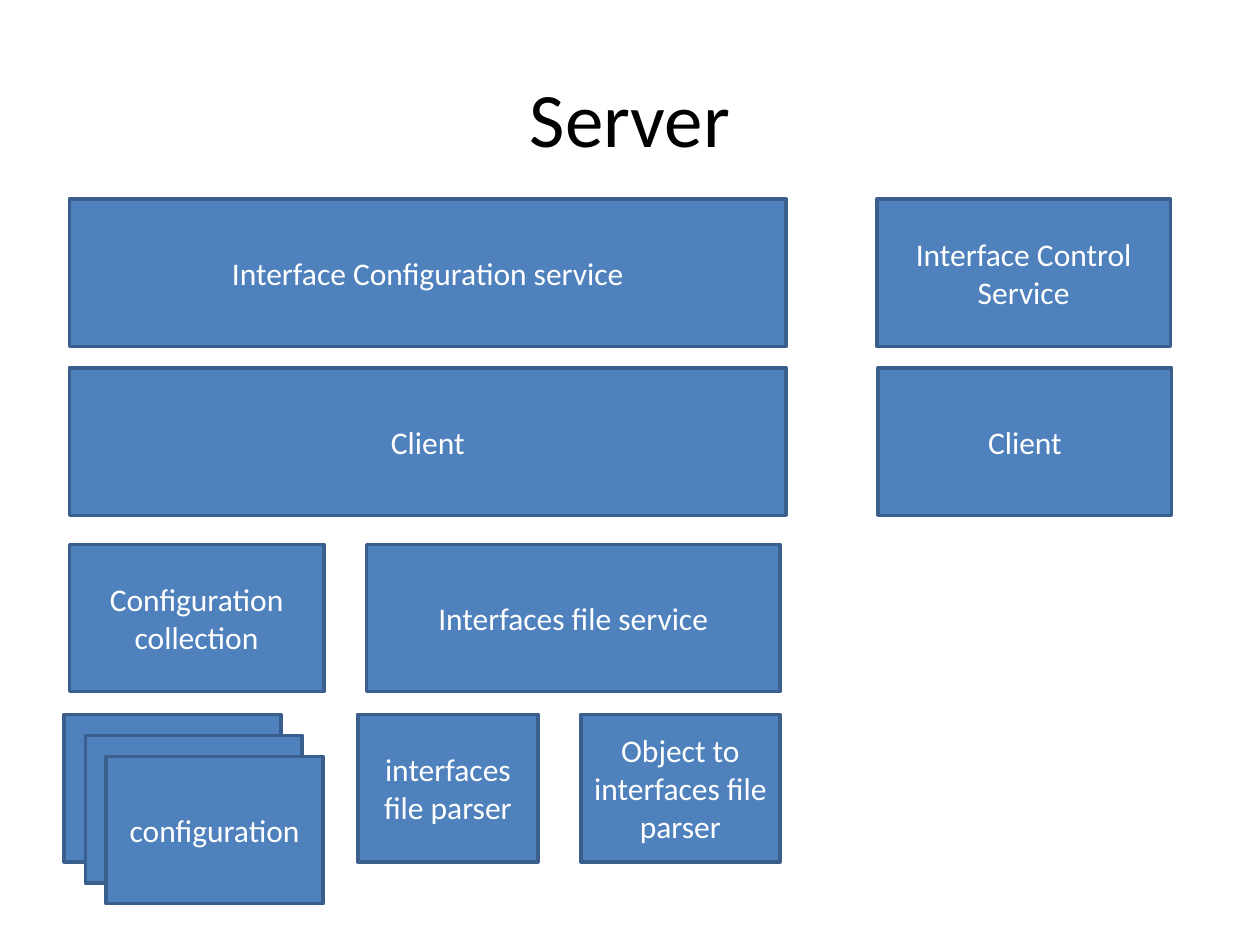
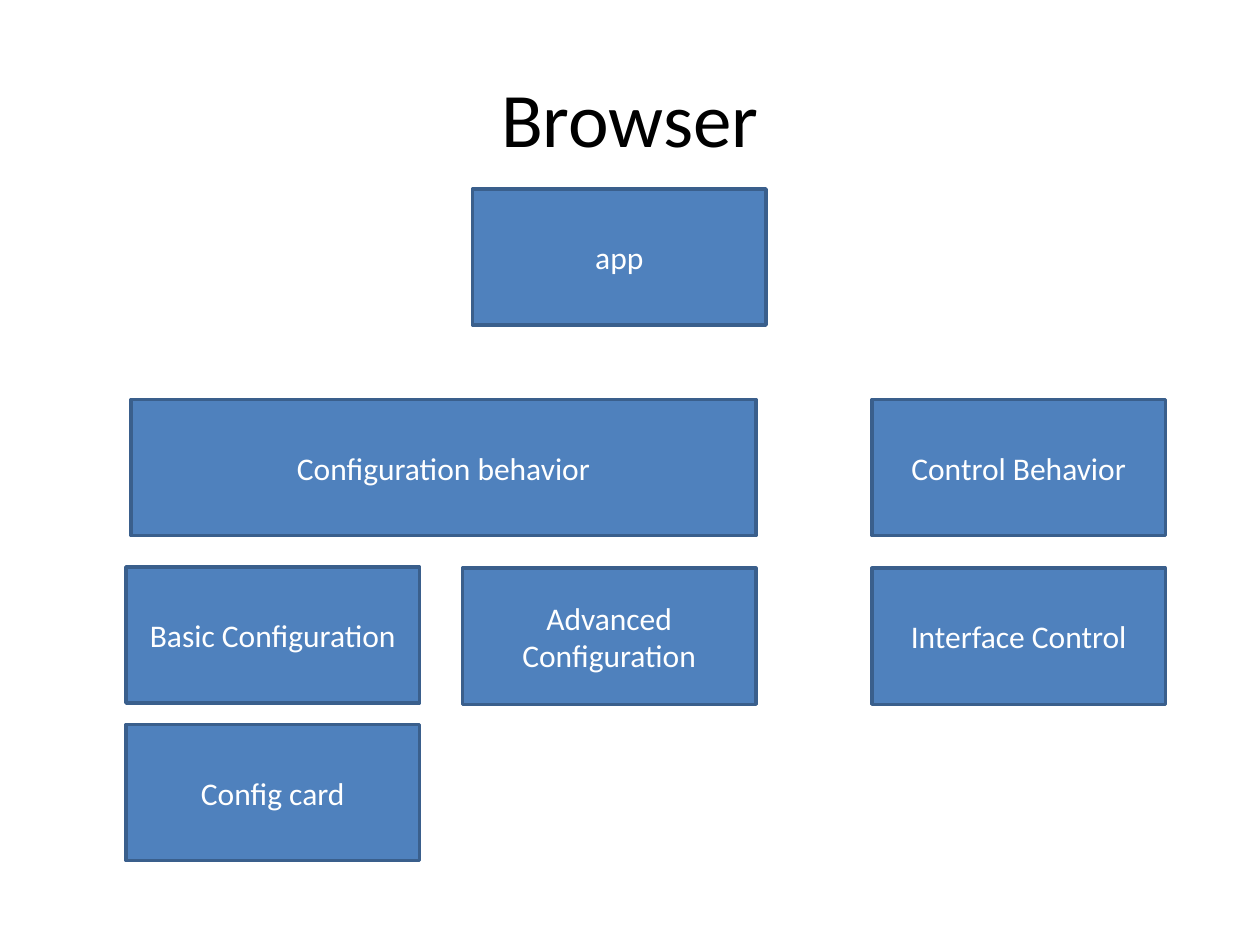
from pptx import Presentation
from pptx.dml.color import RGBColor
from pptx.enum.shapes import MSO_SHAPE
from pptx.enum.text import MSO_ANCHOR, PP_ALIGN
from pptx.util import Inches, Pt

RECTANGLE = MSO_SHAPE.RECTANGLE
MIDDLE = MSO_ANCHOR.MIDDLE
CENTER = PP_ALIGN.CENTER
TITLE_ONLY = 5


def color(hex_value):
    """Turn a hex string into a colour."""
    return RGBColor.from_string(hex_value)


class ArchitectureDeck:
    """Hold the shared style and the current slide."""

    font = "Calibri"
    fill = "4F81BD"
    border = "3A5F8C"
    title_color = "000000"
    block_color = "FFFFFF"

    def __init__(self):
        """Start an empty 10 by 7.5 inch deck."""
        self.presentation = Presentation()
        self.presentation.slide_width = Inches(10)
        self.presentation.slide_height = Inches(7.5)
        self.slide = None

    def add_label(self, frame, wording, size, text_color):
        """Put one centred run into a text frame."""
        frame.word_wrap = True
        frame.vertical_anchor = MIDDLE
        paragraph = frame.paragraphs[0]
        paragraph.alignment = CENTER
        run = paragraph.add_run()
        run.text = wording
        run.font.name = self.font
        run.font.size = Pt(size)
        run.font.color.rgb = color(text_color)

    def add_slide(self, heading):
        """Add a slide with its title."""
        layout = self.presentation.slide_layouts[TITLE_ONLY]
        self.slide = self.presentation.slides.add_slide(layout)
        title = self.slide.shapes.title
        title.left, title.top = Inches(0.5), Inches(0.3)
        title.width, title.height = Inches(9), Inches(1.25)
        self.add_label(title.text_frame, heading, 44, self.title_color)

    def add_block(self, label, left, top, width, height):
        """Add one component block, labelled if it has a label."""
        block = self.slide.shapes.add_shape(
            RECTANGLE, Inches(left), Inches(top), Inches(width), Inches(height))
        block.shadow.inherit = False
        block.fill.solid()
        block.fill.fore_color.rgb = color(self.fill)
        block.line.color.rgb = color(self.border)
        block.line.width = Pt(2)
        if label:
            self.add_label(block.text_frame, label, 18, self.block_color)

    def add_row(self, top, height, blocks):
        """Add blocks, each a label, left and width, on one row."""
        for label, left, width in blocks:
            self.add_block(label, left, top, width, height)

    def add_stack(self, labels, left, top, width, height, step):
        """Add overlapping blocks, each shifted down and right."""
        for index, label in enumerate(labels):
            shift = index * step
            self.add_block(label, left + shift, top + shift, width, height)


def build_server(deck):
    """Build the slide of server components."""
    height = 1.17
    main_left, main_width = 0.55, 5.69
    control_width = 2.33
    deck.add_slide("Server")
    deck.add_row(1.58, height, [
        ("Interface Configuration service", main_left, main_width),
        ("Interface Control Service", 6.96, control_width),
    ])
    deck.add_row(2.92, height, [
        ("Client", main_left, main_width),
        ("Client", 6.97, control_width),
    ])
    deck.add_row(4.32, height, [
        ("Configuration collection", main_left, 2.02),
        ("Interfaces file service", 2.91, 3.28),
    ])
    parts_top = 5.67
    deck.add_stack(["", "configuration", "configuration"],
                   0.51, parts_top, 1.72, height, 1 / 6)
    deck.add_row(parts_top, height, [
        ("interfaces file parser", 2.84, 1.43),
        ("Object to interfaces file parser", 4.61, 1.58),
    ])


def build_browser(deck):
    """Build the slide of browser components."""
    width, height = 2.33, 1.08
    basic_left, control_left = 1, 6.92
    deck.add_slide("Browser")
    deck.add_row(1.5, height, [("app", 3.75, width)])
    deck.add_row(3.17, height, [
        ("Configuration behavior", 1.04, 4.96),
        ("Control Behavior", control_left, width),
    ])
    deck.add_row(4.5, height, [("Basic Configuration", basic_left, width)])
    deck.add_row(4.51, height, [
        ("Advanced Configuration", 3.67, width),
        ("Interface Control", control_left, width),
    ])
    deck.add_row(5.75, height, [("Config card", basic_left, width)])


def main():
    """Build both slides and save the deck."""
    deck = ArchitectureDeck()
    build_server(deck)
    build_browser(deck)
    deck.presentation.save("out.pptx")


if __name__ == "__main__":
    main()
